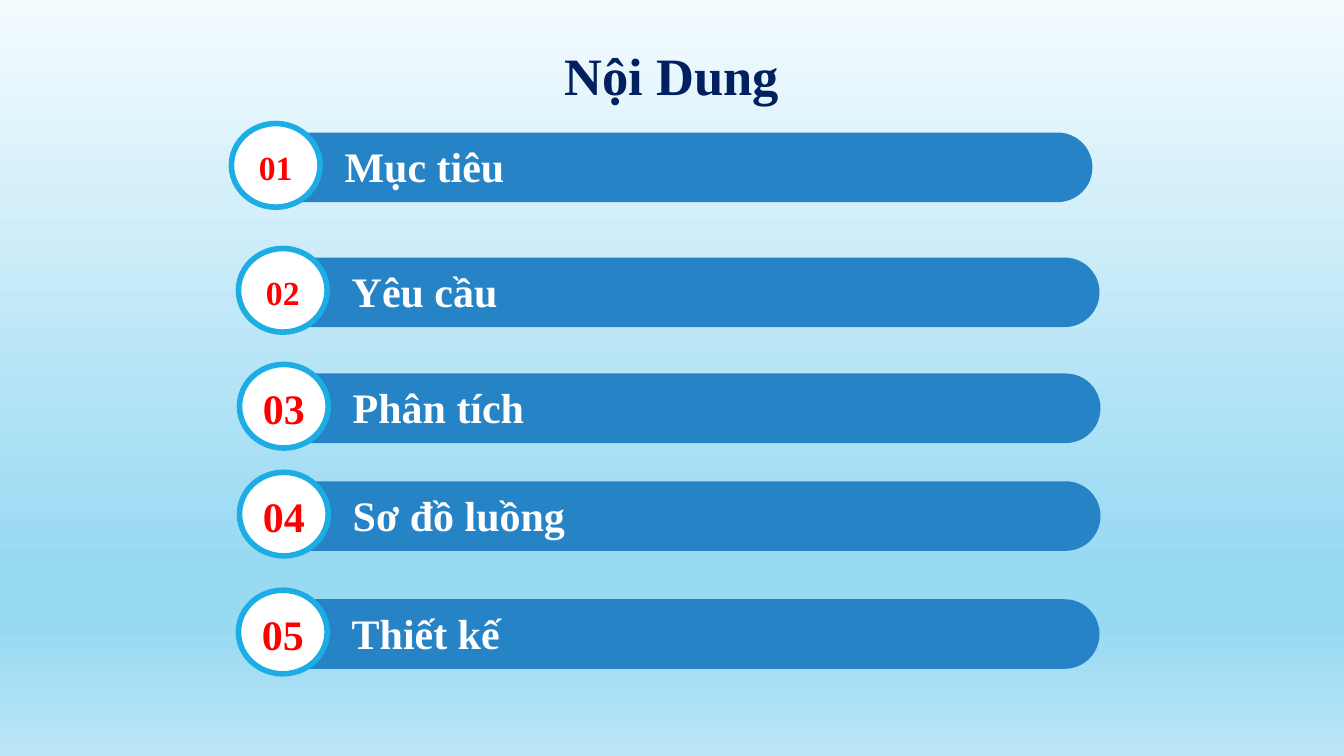
"""Builds the contents slide: a title above five numbered bars."""
from copy import deepcopy
from dataclasses import dataclass
from typing import Any, Optional

from pptx import Presentation, util as u
from pptx.dml import color
from pptx.enum import shapes, text

FONT = "Times New Roman"
BAR_COLOR = "2683C6"
RING_COLOR = "1CADE4"
BACKGROUND = [(0, "F4FBFE"), (74, "99DAF3"), (83, "99DAF3"), (100, "BBE6F7")]
BAR_THICKNESS, BAR_LENGTH = 0.69, 8.11
RING_WIDTH, RING_HEIGHT = 0.83, 0.88


@dataclass
class Topic:
    """One row, placed by its left edge and the middle of its bar."""
    label: str
    left: float
    middle: float
    number_size: int = 30
    number_height: float = 0.5
    label_fill: Optional[str] = None


TOPICS = [
    Topic("Mục tiêu", 2.32, 1.66, 24, 0.4, BAR_COLOR),
    Topic("Yêu cầu", 2.39, 2.9, 24, 0.4, BAR_COLOR),
    Topic("Phân tích", 2.4, 4.05),
    Topic("Sơ đồ luồng", 2.4, 5.12),
    Topic("Thiết kế", 2.39, 6.29),
]


def rgb(value: str) -> color.RGBColor:
    """Turn a hex string into a colour."""
    return color.RGBColor.from_string(value)


def paint_background(page: Any, stops: list[tuple[int, str]]) -> None:
    """Fill the page with a gradient running from top to bottom."""
    fill = page.background.fill
    fill.gradient()
    fill.gradient_angle = 270
    stop_list = page.element.xpath(".//a:gsLst")[0]
    for _ in range(len(stops) - len(stop_list)):
        stop_list.append(deepcopy(stop_list[0]))
    for stop, (percent, value) in zip(fill.gradient_stops, stops):
        stop.position = percent / 100
        stop.color.rgb = rgb(value)


def add_text(page: Any, words: str, left: float, top: float, width: float,
             height: float, *, size: float, ink: str, centered: bool = False,
             anchor: Any = text.MSO_ANCHOR.MIDDLE, inset: float = 0.05,
             spacing: Optional[float] = None, fill: Optional[str] = None,
             grow: bool = True) -> None:
    """Add a box holding one line of bold text."""
    box = page.shapes.add_textbox(*map(u.Inches, (left, top, width, height)))
    if fill:
        box.fill.solid()
        box.fill.fore_color.rgb = rgb(fill)
    frame = box.text_frame
    frame.word_wrap = True
    frame.vertical_anchor = anchor
    frame.margin_top = frame.margin_bottom = u.Inches(inset)
    if grow:
        frame.auto_size = text.MSO_AUTO_SIZE.SHAPE_TO_FIT_TEXT
    para = frame.paragraphs[0]
    para.alignment = text.PP_ALIGN.CENTER if centered else text.PP_ALIGN.LEFT
    para.line_spacing = spacing
    span = para.add_run()
    span.text = words
    span.font.name, span.font.size, span.font.bold = FONT, u.Pt(size), True
    span.font.color.rgb = rgb(ink)


def add_rotated(page: Any, kind: Any, center_x: float, center_y: float,
                width: float, height: float, rotation: int, fill: str) -> Any:
    """Add a filled shape turned about its centre."""
    shape = page.shapes.add_shape(
        kind, u.Inches(center_x - width / 2), u.Inches(center_y - height / 2),
        u.Inches(width), u.Inches(height))
    shape.rotation = rotation
    shape.shadow.inherit = False
    shape.fill.solid()
    shape.fill.fore_color.rgb = rgb(fill)
    shape.line.fill.background()
    return shape


def add_topic(page: Any, number: int, topic: Topic) -> None:
    """Draw a topic as a bar, its label and a ringed number."""
    bar = add_rotated(page, shapes.MSO_SHAPE.ROUND_2_SAME_RECTANGLE,
                      topic.left + 4.46, topic.middle, BAR_THICKNESS,
                      BAR_LENGTH, 90, BAR_COLOR)
    bar.adjustments[0] = 0.5
    add_text(page, topic.label, topic.left + 1, topic.middle - 0.32, 7.24, 0.61,
             size=30, ink="FFFFFF", fill=topic.label_fill)
    ring = add_rotated(page, shapes.MSO_SHAPE.OVAL,
                       topic.left + RING_WIDTH / 2, topic.middle - 0.02,
                       RING_WIDTH, RING_HEIGHT, 270, "FFFFFF")
    ring.line.color.rgb = rgb(RING_COLOR)
    ring.line.width = u.Pt(4)
    add_text(page, f"{number:02}", topic.left - 0.02,
             topic.middle - topic.number_height / 2, 0.87, topic.number_height,
             size=topic.number_size, ink="FF0000", centered=True, inset=0)


def main() -> None:
    """Build the deck and save it."""
    deck = Presentation()
    deck.slide_width, deck.slide_height = u.Inches(13.33), u.Inches(7.5)
    page = deck.slides.add_slide(deck.slide_layouts[6])
    paint_background(page, BACKGROUND)
    add_text(page, "Nội Dung", 5.48, 0.44, 2.37, 0.64, size=37.5, ink="002060",
             centered=True, anchor=text.MSO_ANCHOR.BOTTOM, spacing=0.7,
             grow=False)
    for number, topic in enumerate(TOPICS, start=1):
        add_topic(page, number, topic)
    deck.save("out.pptx")


if __name__ == "__main__":
    main()
